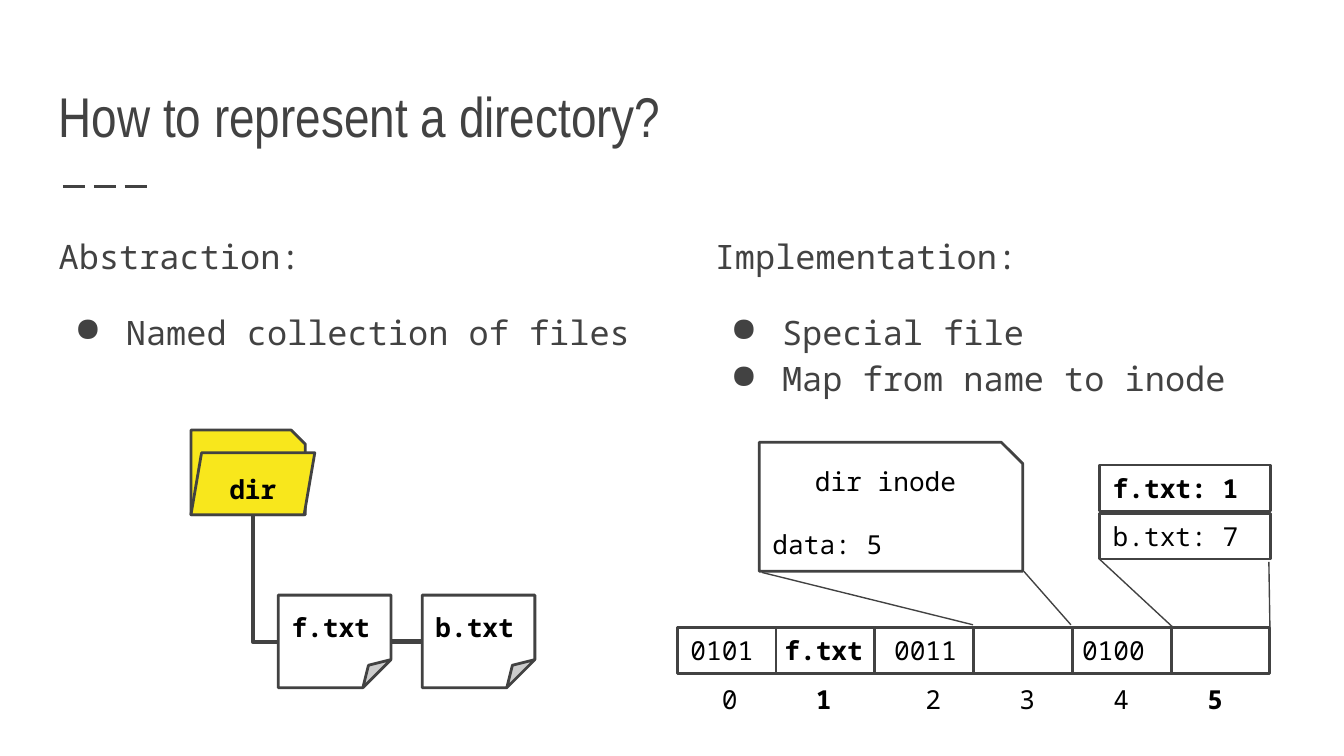
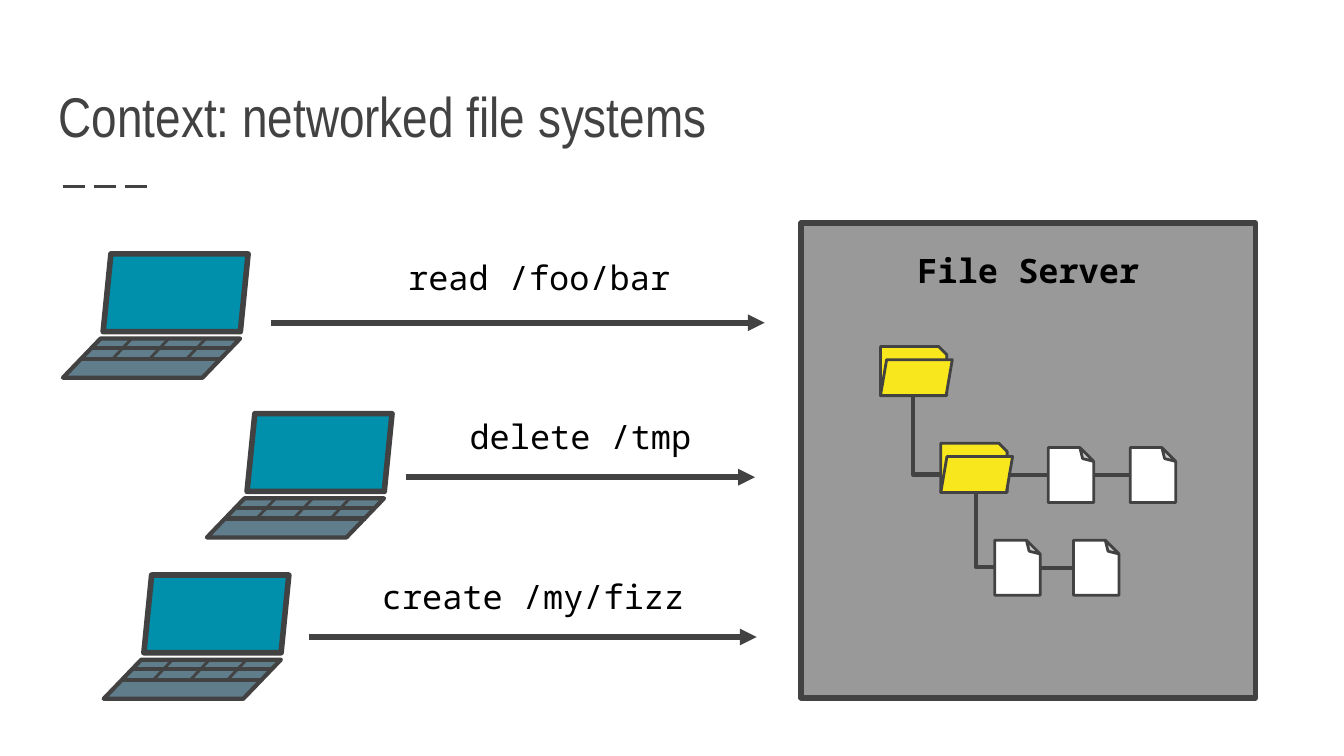
from dataclasses import dataclass

from lxml import etree
from pptx import Presentation
from pptx.dml.color import RGBColor
from pptx.enum.dml import MSO_LINE
from pptx.enum.shapes import MSO_CONNECTOR, MSO_SHAPE
from pptx.enum.text import MSO_ANCHOR, PP_ALIGN
from pptx.oxml.ns import qn
from pptx.util import Cm, Pt

RECTANGLE = MSO_SHAPE.RECTANGLE
SNIPPED = MSO_SHAPE.SNIP_1_RECTANGLE
PARALLELOGRAM = MSO_SHAPE.PARALLELOGRAM
FOLDED = MSO_SHAPE.FOLDED_CORNER
STRAIGHT = MSO_CONNECTOR.STRAIGHT
ELBOW = MSO_CONNECTOR.ELBOW
LONG_DASH = MSO_LINE.LONG_DASH
TOP, MIDDLE, BOTTOM = MSO_ANCHOR.TOP, MSO_ANCHOR.MIDDLE, MSO_ANCHOR.BOTTOM
LEFT, CENTER = PP_ALIGN.LEFT, PP_ALIGN.CENTER
TOP_SIDE, LEFT_SIDE, BOTTOM_SIDE, RIGHT_SIDE = range(4)


@dataclass(frozen=True)
class Theme:
    ink: str = "424242"
    black: str = "000000"
    paper: str = "FFFFFF"
    folder: str = "F8E71C"
    server: str = "999999"
    screen: str = "0090AC"
    keyboard: str = "607D8B"
    title_font: str = "Arial Narrow"
    body_font: str = "Noto Sans Mono"
    title_size: float = 30
    body_size: float = 18
    label_size: float = 14
    hairline: float = 0.75
    outline: float = 1.5
    link: float = 2.25
    heavy: float = 3


THEME = Theme()
CHARACTER_WIDTH = 0.296  # cm, one monospaced letter at label size


def write_text(shape, text, *, size=THEME.label_size, font=THEME.body_font,
               color=THEME.black, bold=False, align=LEFT, anchor=MIDDLE,
               margin=0.25, line_spacing=None, space_before=None):
    """Add one paragraph; text is a string or a list of (string, bold) runs."""
    frame = shape.text_frame
    frame.word_wrap = True
    frame.vertical_anchor = anchor
    frame.margin_left = frame.margin_right = Cm(margin)
    frame.margin_top = frame.margin_bottom = Cm(margin)
    paragraph = frame.paragraphs[0]
    if paragraph.runs:
        paragraph = frame.add_paragraph()
    paragraph.alignment = align
    if line_spacing:
        paragraph.line_spacing = line_spacing
    if space_before is not None:
        paragraph.space_before = Pt(space_before)
    for words, heavy in [(text, bold)] if isinstance(text, str) else text:
        run = paragraph.add_run()
        run.text = words
        run.font.size = Pt(size)
        run.font.name = font
        run.font.bold = heavy
        run.font.color.rgb = RGBColor.from_string(color)
    return paragraph


def set_bullet(paragraph):
    properties = paragraph._p.get_or_add_pPr()
    properties.set("marL", str(Cm(1.27)))
    properties.set("indent", str(Cm(-0.97)))
    color = etree.SubElement(properties, qn("a:buClr"))
    etree.SubElement(color, qn("a:srgbClr"), val=THEME.ink)
    etree.SubElement(properties, qn("a:buChar"), char="●")


def set_tabs(paragraph, columns):
    """Put tab stops at the given character columns."""
    stops = etree.SubElement(paragraph._p.get_or_add_pPr(), qn("a:tabLst"))
    for column in columns:
        position = str(Cm(column * CHARACTER_WIDTH))
        etree.SubElement(stops, qn("a:tab"), pos=position, algn="l")


def set_adjustment(shape, value):
    geometry = shape._element.spPr.find(qn("a:prstGeom"))
    for guides in geometry.findall(qn("a:avLst")):
        geometry.remove(guides)
    guides = etree.SubElement(geometry, qn("a:avLst"))
    etree.SubElement(guides, qn("a:gd"), name="adj", fmla=f"val {round(value * 100000)}")


def add_box(shapes, kind, left, top, width, height, fill=None,
            line_width=THEME.outline, adjustment=None):
    shape = shapes.add_shape(kind, Cm(left), Cm(top), Cm(width), Cm(height))
    shape.shadow.inherit = False
    if fill:
        shape.fill.solid()
        shape.fill.fore_color.rgb = RGBColor.from_string(fill)
    else:
        shape.fill.background()
    shape.line.color.rgb = RGBColor.from_string(THEME.ink)
    shape.line.width = Pt(line_width)
    if adjustment is not None:
        set_adjustment(shape, adjustment)
    return shape


def add_text_box(slide, left, top, width, height):
    return slide.shapes.add_textbox(Cm(left), Cm(top), Cm(width), Cm(height))


def add_line(shapes, start, end, width, kind=STRAIGHT):
    connector = shapes.add_connector(kind, *map(Cm, (*start, *end)))
    connector.line.color.rgb = RGBColor.from_string(THEME.ink)
    connector.line.width = Pt(width)
    etree.SubElement(connector._element.spPr, qn("a:effectLst"))
    return connector


def add_arrow(shapes, start, end):
    arrow = add_line(shapes, start, end, THEME.heavy)
    etree.SubElement(arrow.line._get_or_add_ln(), qn("a:tailEnd"), type="triangle")


def add_branch(shapes, parent, child):
    """Draw a corner that drops from the parent and turns right to the child."""
    branch = add_line(shapes, child, parent, THEME.link, ELBOW)
    branch._element.spPr.find(qn("a:prstGeom")).set("prst", "bentConnector2")


def link_files(shapes, first, second):
    link = add_line(shapes, (0, 0), (1, 1), THEME.link)
    link.begin_connect(first, RIGHT_SIDE)
    link.end_connect(second, LEFT_SIDE)


def add_folder(shapes, left, top, scale=1.0):
    """Draw an open folder and return its front flap."""
    add_box(shapes, SNIPPED, left, top, 2.16 * scale, 1.6 * scale, THEME.folder)
    return add_box(shapes, PARALLELOGRAM, left, top + 0.43 * scale, 2.34 * scale,
                   1.17 * scale, THEME.folder, adjustment=0.171)


def add_small_file(shapes, left, top):
    """Draw a page folded at its upper right corner."""
    page = add_box(shapes, FOLDED, left, top, 0.86, 1.04, THEME.paper,
                   adjustment=0.303)
    page.rotation = 180
    page._element.spPr.xfrm.set("flipH", "1")
    return page


def add_laptop(slide, left, top):
    shapes = slide.shapes.add_group_shape().shapes
    add_box(shapes, PARALLELOGRAM, left + 0.76, top, 2.74, 1.47,
            THEME.screen, THEME.heavy, 0.1)
    add_box(shapes, PARALLELOGRAM, left, top + 1.6, 3.35, 0.74,
            THEME.keyboard, THEME.link, 0.961)
    for x, y in ((0.36, 1.98), (0.56, 1.78)):
        add_line(shapes, (left + x, top + y), (left + x + 2.64, top + y), THEME.link)
    for key in range(3):
        x = left + 0.94 + 0.7 * key
        add_line(shapes, (x, top + 1.98), (x + 0.36, top + 1.6), THEME.outline)


def add_titled_slide(presentation, title, width=23.67):
    slide = presentation.slides.add_slide(presentation.slide_layouts[6])
    dashes = add_line(slide.shapes, (1.19, 3.53), (2.9, 3.53), THEME.outline)
    dashes.line.dash_style = LONG_DASH
    write_text(add_text_box(slide, 0.86, 1.04, width, 2.03), title,
               size=THEME.title_size, font=THEME.title_font,
               color=THEME.ink, anchor=BOTTOM)
    return slide


def add_body(slide, left, width, height, heading, bullets):
    box = add_text_box(slide, left, 4.09, width, height)
    style = dict(size=THEME.body_size, color=THEME.ink, anchor=TOP, line_spacing=1.15)
    write_text(box, heading, **style)
    for number, bullet in enumerate(bullets):
        gap = 0 if number else 16
        set_bullet(write_text(box, bullet, space_before=gap, **style))


def add_directory_tree(slide):
    shapes = slide.shapes.add_group_shape().shapes
    flap = add_folder(shapes, 3.61, 8.13)
    write_text(flap, "dir", bold=True, align=CENTER, anchor=TOP)
    files = []
    for name, left in (("f.txt", 5.26), ("b.txt", 7.98)):
        page = add_box(shapes, FOLDED, left, 11.25, 2.13, 1.75, THEME.paper,
                       adjustment=0.303)
        write_text(page, name, bold=True)
        files.append(page)
    add_branch(shapes, (4.78, 9.73), (5.26, 12.13))
    link_files(shapes, *files)


def add_disk_blocks(slide):
    left, top, width, height, count = 12.8, 11.86, 11.2, 0.87, 6
    shapes = slide.shapes.add_group_shape().shapes
    row = add_box(shapes, RECTANGLE, left, top, width, height, THEME.paper)
    contents = [("0101\t", False), ("f.txt", True), ("\t0011\t0100", False)]
    set_tabs(write_text(row, contents), (6, 13, 25))
    for block in range(1, count):
        x = left + width * block / count
        divider = add_line(shapes, (x, top), (x, top + height), THEME.outline)
        if block * 2 == count:
            divider.begin_connect(row, TOP_SIDE)
            divider.end_connect(row, BOTTOM_SIDE)
    numbers = [("\t0\t", False), ("1", True), ("\t2\t3\t4\t", False), ("5", True)]
    index = add_text_box(slide, left, 12.85, width, 0.71)
    set_tabs(write_text(index, numbers), (2, 8, 15, 21, 27, 33))


def add_inode(slide):
    inode = add_box(slide.shapes, SNIPPED, 14.35, 8.36, 4.98, 2.44, THEME.paper)
    write_text(inode, "dir inode", align=CENTER)
    write_text(inode, "data: 5", space_before=17)


def add_directory_entries(slide):
    shapes = slide.shapes.add_group_shape().shapes
    for number, (entry, bold) in enumerate((("f.txt: 1", True), ("b.txt: 7", False))):
        box = add_box(shapes, RECTANGLE, 20.78, 8.79 + 0.91 * number, 3.23, 0.87)
        write_text(box, entry, bold=bold)


def build_directory_slide(presentation):
    slide = add_titled_slide(presentation, "How to represent a directory?", 15.14)
    add_body(slide, 0.86, 11.38, 3.38, "Abstraction:", ["Named collection of files"])
    add_body(slide, 13.26, 11.2, 3.84, "Implementation:",
             ["Special file", "Map from name to inode"])
    add_disk_blocks(slide)
    add_inode(slide)
    add_directory_tree(slide)
    add_directory_entries(slide)
    for start, end in (((14.4, 10.82), (18.39, 11.81)), ((19.35, 10.8), (20.24, 11.81)),
                       ((20.78, 10.57), (22.17, 11.86)), ((23.98, 10.62), (24, 11.86))):
        add_line(slide.shapes, start, end, THEME.hairline)


def add_file_server(slide):
    server = add_box(slide.shapes, RECTANGLE, 15.14, 4.22, 8.59, 8.97,
                     THEME.server, THEME.heavy)
    write_text(server, "File Server", size=THEME.body_size, bold=True,
               align=CENTER, anchor=TOP, margin=0.51)
    shapes = slide.shapes.add_group_shape().shapes
    add_branch(shapes, (17.25, 7.49), (17.83, 8.97))
    add_branch(shapes, (18.44, 9.32), (18.8, 10.72))
    for left, top in ((16.64, 6.55), (17.78, 8.38)):
        add_folder(shapes, left, top, 0.58)
    upper = [add_small_file(shapes, left, 8.46) for left in (19.81, 21.36)]
    lower = [add_small_file(shapes, left, 10.21) for left in (18.8, 20.29)]
    link_files(shapes, *upper)
    link_files(shapes, *lower)
    folder_link = add_line(shapes, (19.05, 8.98), (19.81, 8.98), THEME.link)
    folder_link.end_connect(upper[0], LEFT_SIDE)


def build_network_slide(presentation):
    slide = add_titled_slide(presentation, "Context: networked file systems")
    add_file_server(slide)
    for left, top in ((1.19, 4.8), (3.91, 7.82), (1.96, 10.87)):
        add_laptop(slide, left, top)
    for request, left, top, width, start, end, y in (
            ("read /foo/bar", 7.42, 4.6, 5.54, 5.13, 14.45, 6.1),
            ("delete /tmp", 8.2, 7.62, 5.54, 7.67, 14.27, 9.02),
            ("create /my/fizz", 6.76, 10.64, 6.63, 5.84, 14.3, 12.04)):
        add_arrow(slide.shapes, (start, y), (end, y))
        write_text(add_text_box(slide, left, top, width, 1.24), request,
                   size=THEME.body_size, align=CENTER, anchor=TOP)


def main():
    presentation = Presentation()
    presentation.slide_width = Cm(25.4)
    presentation.slide_height = Cm(14.29)
    build_directory_slide(presentation)
    build_network_slide(presentation)
    presentation.save("out.pptx")


if __name__ == "__main__":
    main()
